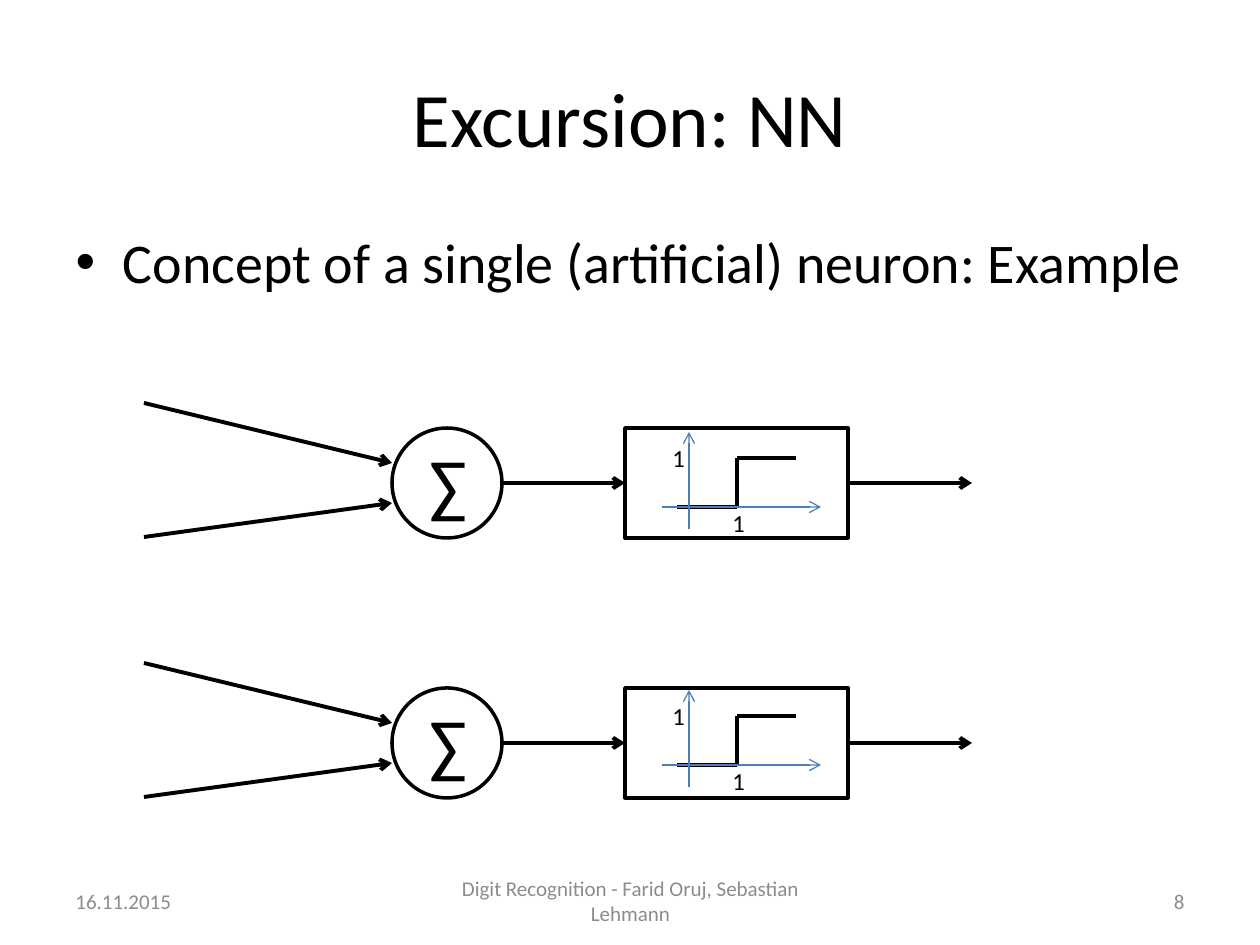
from dataclasses import dataclass

from pptx import Presentation
from pptx.dml.color import RGBColor
from pptx.enum.shapes import MSO_CONNECTOR, MSO_SHAPE
from pptx.enum.text import MSO_ANCHOR, PP_ALIGN
from pptx.oxml.ns import qn
from pptx.util import Emu, Pt
from lxml.etree import SubElement

SCALE = 914400 / 126  # EMU in one px


@dataclass(frozen=True)
class Theme:
    font: str = "Calibri"
    ink: str = "000000"
    grey: str = "8C8C8C"
    blue: str = "4B7EBC"
    title: int = 44
    body: int = 32
    sum: int = 40
    mark: int = 14
    foot: int = 12
    edge: float = 2
    flow: float = 2.25
    axis: float = 0.75


@dataclass(frozen=True)
class Box:
    left: int
    top: int
    width: int
    height: int

    def down(self, dy: int) -> "Box":
        return Box(self.left, self.top + dy, self.width, self.height)

    def emu(self) -> list:
        return [px(n) for n in (self.left, self.top, self.width, self.height)]


@dataclass(frozen=True)
class Line:
    x1: int
    y1: int
    x2: int
    y2: int


@dataclass(frozen=True)
class Neuron:
    top: int   # top of circle and frame
    plot: int  # top of the step plot


THEME = Theme()
NEURONS = [Neuron(428, 428), Neuron(688, 686)]

# Parts of one neuron, measured from its top
CIRCLE = Box(392, 0, 110, 110)
SIGMA = Box(417, 6, 59, 97)
FRAME = Box(625, 0, 223, 110)
INPUTS = [Line(144, -25, 392, 35), Line(144, 109, 392, 75)]
LINK = Line(502, 55, 625, 55)
OUTPUT = Line(848, 55, 972, 55)

# Parts of one plot, measured from its top
STEPS = [Line(677, 79, 737, 79), Line(737, 30, 796, 30),
         Line(737, 79, 737, 30)]
AXES = [Line(689, 101, 689, 4), Line(662, 79, 821, 79)]
MARKS = [Box(660, 9, 28, 43), Box(720, 74, 28, 43)]

FEET = [
    ("16.11.2015", Box(63, 876, 294, 50), PP_ALIGN.LEFT),
    ("Digit Recognition - Farid Oruj, Sebastian Lehmann",
     Box(431, 876, 399, 50), PP_ALIGN.CENTER),
    ("8", Box(903, 876, 294, 50), PP_ALIGN.RIGHT),
]


def px(n: int) -> Emu:
    return Emu(round(n * SCALE))


def write(shape, text: str, *, size: int, color: str = THEME.ink,
          align=PP_ALIGN.LEFT, anchor=MSO_ANCHOR.TOP, wrap: bool = True) -> None:
    frame = shape.text_frame
    frame.text = text
    frame.word_wrap = wrap
    frame.vertical_anchor = anchor
    if not wrap:
        frame.margin_right = 0
    para = frame.paragraphs[0]
    para.alignment = align
    para.space_before = Pt(0)
    font = para.runs[0].font
    font.name, font.size = THEME.font, Pt(size)
    font.color.rgb = RGBColor.from_string(color)


def label(slide, text: str, box: Box, **style) -> None:
    write(slide.shapes.add_textbox(*box.emu()), text, **style)


def place(shape, box: Box) -> None:
    shape.left, shape.top, shape.width, shape.height = box.emu()


def outline(slide, kind, box: Box):
    shape = slide.shapes.add_shape(kind, *box.emu())
    shape.shadow.inherit = False
    shape.fill.background()
    shape.line.color.rgb = RGBColor.from_string(THEME.ink)
    shape.line.width = Pt(THEME.edge)
    return shape


def stroke(slide, line: Line, dy: int, color: str = THEME.ink,
           width: float = THEME.flow, arrow: bool = True):
    ends = (line.x1, line.y1 + dy, line.x2, line.y2 + dy)
    wire = slide.shapes.add_connector(MSO_CONNECTOR.STRAIGHT, *map(px, ends))
    wire.line.color.rgb = RGBColor.from_string(color)
    wire.line.width = Pt(width)
    if arrow:
        SubElement(wire.line._get_or_add_ln(), qn("a:tailEnd"), type="arrow")
    SubElement(wire._element.spPr, qn("a:effectLst"))
    return wire


def neuron(slide, top: int) -> None:
    outline(slide, MSO_SHAPE.OVAL, CIRCLE.down(top))
    label(slide, "∑", SIGMA.down(top), size=THEME.sum, wrap=False)
    for line in INPUTS:
        stroke(slide, line, top)
    link = stroke(slide, LINK, top)
    frame = outline(slide, MSO_SHAPE.RECTANGLE, FRAME.down(top))
    link.end_connect(frame, 1)
    stroke(slide, OUTPUT, top).begin_connect(frame, 3)


def plot(slide, top: int) -> None:
    for line in STEPS:
        stroke(slide, line, top, arrow=False)
    for line in AXES:
        stroke(slide, line, top, THEME.blue, THEME.axis)
    for box in MARKS:
        label(slide, "1", box.down(top), size=THEME.mark, wrap=False)


def main() -> None:
    deck = Presentation()
    deck.slide_width, deck.slide_height = px(1260), px(945)
    slide = deck.slides.add_slide(deck.slide_layouts[1])

    # Title and lead line
    title, body = slide.placeholders
    place(title, Box(63, 38, 1134, 157))
    write(title, "Excursion: NN", size=THEME.title,
          align=PP_ALIGN.CENTER, anchor=MSO_ANCHOR.MIDDLE)
    place(body, Box(63, 221, 1134, 83))
    props = body.text_frame.paragraphs[0]._p.get_or_add_pPr()
    props.set("marL", "0")
    props.set("indent", "0")
    SubElement(props, qn("a:buNone"))
    write(body, "Concept of a single (artificial) neuron: Example",
          size=THEME.body)

    # Footer
    for text, box, align in FEET:
        label(slide, text, box, size=THEME.foot, color=THEME.grey,
              align=align, anchor=MSO_ANCHOR.MIDDLE)

    # Neurons with their step functions
    for unit in NEURONS:
        neuron(slide, unit.top)
    for unit in NEURONS:
        plot(slide, unit.plot)

    deck.save("out.pptx")


if __name__ == "__main__":
    main()
